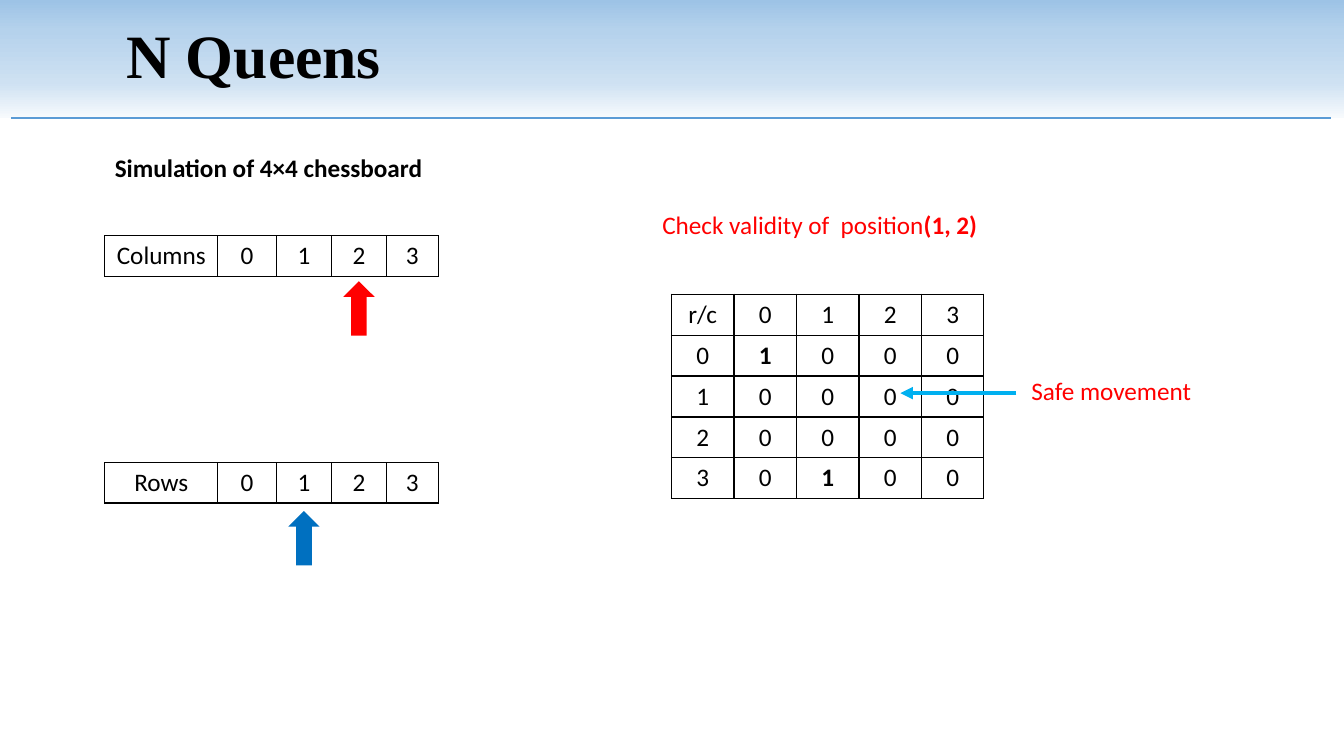
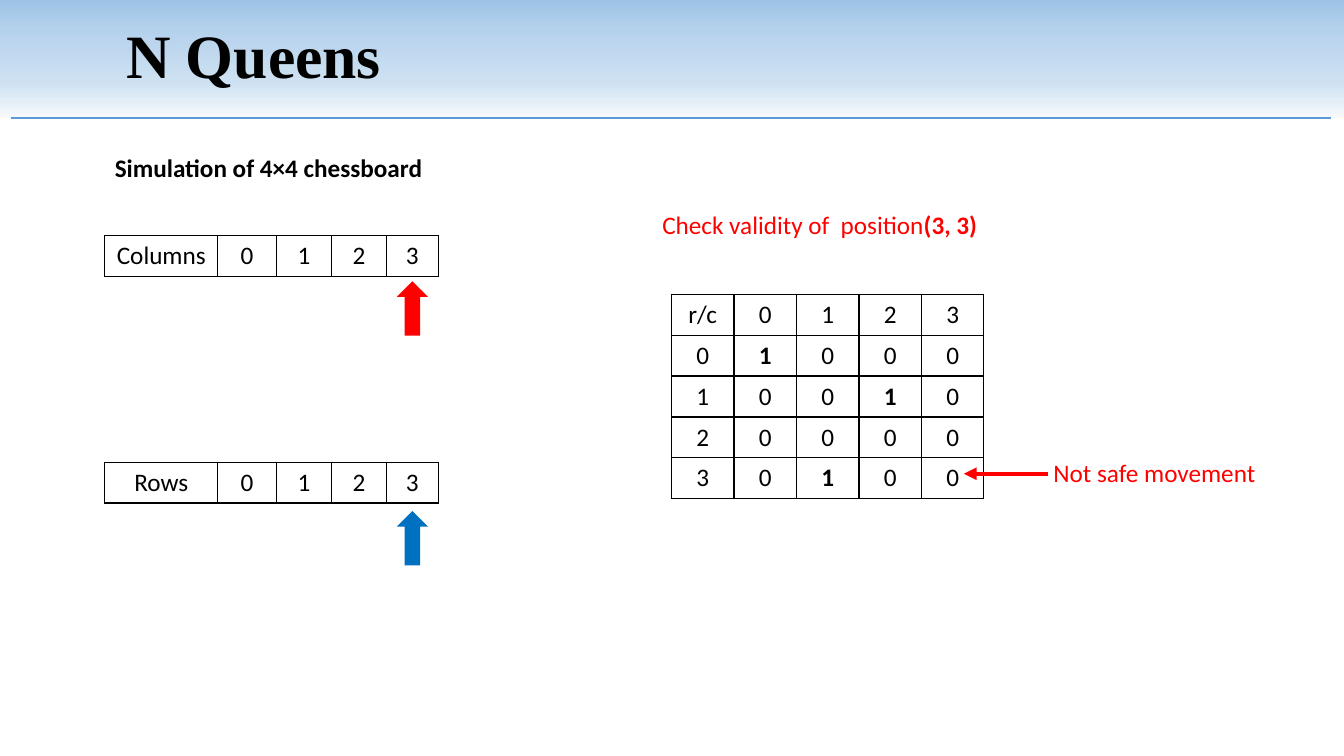
"""Build two slides that step through placing queens on a 4×4 chessboard."""
from lxml.etree import SubElement
from pptx import Presentation
from pptx.dml.color import RGBColor
from pptx.enum.shapes import MSO_CONNECTOR as Connector, MSO_SHAPE as Preset
from pptx.enum.text import MSO_ANCHOR as Anchor, MSO_AUTO_SIZE as AutoSize, PP_ALIGN as Align
from pptx.oxml.ns import qn
from pptx.util import Emu, Pt

BLACK = RGBColor(0x00, 0x00, 0x00)
RED = RGBColor(0xFF, 0x00, 0x00)
BLUE = RGBColor(0x00, 0x70, 0xC0)
SKY = RGBColor(0x00, 0xB0, 0xF0)
RULE_BLUE = RGBColor(0x5B, 0x9B, 0xD5)
BAND_STOPS = [
    (0, RGBColor(0x9D, 0xC3, 0xE6)),
    (26, RGBColor(0xB5, 0xD2, 0xEC)),
    (70, RGBColor(0xCE, 0xE1, 0xF2)),
    (100, RGBColor(0xF7, 0xFA, 0xFD)),
]

TITLE = "N Queens"
SUBTITLE = "Simulation of 4×4 chessboard"
INDICES = range(4)
STEPS = [
    {
        "row": 1, "column": 2,
        "queens": {(0, 0), (3, 1)},
        "verdict": "Safe movement", "verdict_at": (1013, 367),
        "pointer": (1008, 893, 390), "pointer_color": SKY,
    },
    {
        "row": 3, "column": 3,
        "queens": {(0, 0), (1, 2), (3, 1)},
        "verdict": "Not safe movement", "verdict_at": (1035, 449),
        "pointer": (1039, 956, 470), "pointer_color": RED,
    },
]

SLIDE_W, SLIDE_H = 1333, 750
BAND_H = 117
STRIP_LEFT = 104
STRIP_COLUMNS = [112, 58, 55, 54, 52]
STRIPS = [("Columns", "column", 234, 279, RED), ("Rows", "row", 459, 507, BLUE)]
MARKER_W, MARKER_H = 31, 54
BOARD_COLUMNS = [62] * 5
ROW_H = 40


def px(length):
    return Emu(round(length * 9144))


def set_font(font, color, size=18, name="Calibri", bold=False):
    font.name, font.size, font.bold = name, Pt(size), bold
    font.color.rgb = color


def add_line(slide, start, end, color, width, arrow=False):
    line = slide.shapes.add_connector(Connector.STRAIGHT, *map(px, start + end))
    line.line.color.rgb = color
    line.line.width = Pt(width)
    properties = line._element.spPr
    if arrow:
        SubElement(properties.find(qn("a:ln")), qn("a:tailEnd"), type="triangle")
    SubElement(properties, qn("a:effectLst"))


def add_header(slide):
    title = slide.shapes.title
    title.left, title.top, title.width, title.height = map(px, (0, 0, SLIDE_W, BAND_H))
    title.fill.gradient()
    title.fill.gradient_angle = 270
    stops = title._element.spPr.find(".//" + qn("a:gsLst"))
    stops.clear()
    for percent, color in BAND_STOPS:
        stop = SubElement(stops, qn("a:gs"), pos=str(percent * 1000))
        SubElement(stop, qn("a:srgbClr"), val=str(color))
    frame = title.text_frame
    frame.text = TITLE
    frame.auto_size = AutoSize.NONE
    frame.vertical_anchor = Anchor.MIDDLE
    frame.margin_left = px(125)
    heading = frame.paragraphs[0]
    heading.alignment = Align.LEFT
    heading.line_spacing = 0.9
    set_font(heading.font, BLACK, 44, "Times New Roman", True)
    add_line(slide, (11, BAND_H), (1320, BAND_H), RULE_BLUE, 1.5)


def add_text(slide, left, top, width, runs, color):
    box = slide.shapes.add_textbox(*map(px, (left, top, width, ROW_H)))
    frame = box.text_frame
    frame.word_wrap = True
    frame.auto_size = AutoSize.SHAPE_TO_FIT_TEXT
    paragraph = frame.paragraphs[0]
    for text, bold in runs:
        run = paragraph.add_run()
        run.text = text
        set_font(run.font, color, bold=bold)


def add_border(cell):
    properties = cell._tc.get_or_add_tcPr()
    for side in ("lnL", "lnR", "lnT", "lnB"):
        edge = SubElement(properties, qn("a:" + side), w=str(Pt(1)))
        SubElement(SubElement(edge, qn("a:solidFill")), qn("a:srgbClr"), val=str(BLACK))


def add_grid(slide, left, top, widths, rows, bold_cells=()):
    size = (sum(widths), ROW_H * len(rows))
    grid = slide.shapes.add_table(len(rows), len(widths), *map(px, (left, top) + size)).table
    grid.first_row = grid.horz_banding = False
    for column, width in zip(grid.columns, widths):
        column.width = px(width)
    for r, values in enumerate(rows):
        for c, value in enumerate(values):
            cell = grid.cell(r, c)
            cell.text = str(value)
            add_border(cell)
            cell.fill.background()
            paragraph = cell.text_frame.paragraphs[0]
            paragraph.alignment = Align.CENTER
            set_font(paragraph.font, BLACK, bold=(r, c) in bold_cells)


def add_marker(slide, index, top, color):
    center = STRIP_LEFT + sum(STRIP_COLUMNS[:index + 1]) + STRIP_COLUMNS[index + 1] / 2
    place = (center - MARKER_W / 2, top, MARKER_W, MARKER_H)
    marker = slide.shapes.add_shape(Preset.UP_ARROW, *map(px, place))
    marker.shadow.inherit = False
    marker.fill.solid()
    marker.fill.fore_color.rgb = color
    marker.line.fill.background()


def add_board(slide, queens):
    rows = [["r/c", *INDICES]]
    rows += [[r, *(int((r, c) in queens) for c in INDICES)] for r in INDICES]
    add_grid(slide, 666, 292, BOARD_COLUMNS, rows, {(r + 1, c + 1) for r, c in queens})


def add_step(deck, step):
    slide = deck.slides.add_slide(deck.slide_layouts[5])
    add_header(slide)
    add_board(slide, step["queens"])
    add_text(slide, 104, 146, 815, [(SUBTITLE, True)], BLACK)
    for label, axis, top, marker_top, color in STRIPS:
        add_grid(slide, STRIP_LEFT, top, STRIP_COLUMNS, [[label, *INDICES]])
        add_marker(slide, step[axis], marker_top, color)
    position = f"({step['row']}, {step['column']})"
    add_text(slide, 647, 203, 545, [("Check validity of  position", False), (position, True)], RED)
    start, end, y = step["pointer"]
    add_line(slide, (start, y), (end, y), step["pointer_color"], 3, arrow=True)
    add_text(slide, *step["verdict_at"], 288, [(step["verdict"], False)], RED)


def main():
    deck = Presentation()
    deck.slide_width, deck.slide_height = px(SLIDE_W), px(SLIDE_H)
    for step in STEPS:
        add_step(deck, step)
    deck.save("out.pptx")


if __name__ == "__main__":
    main()
